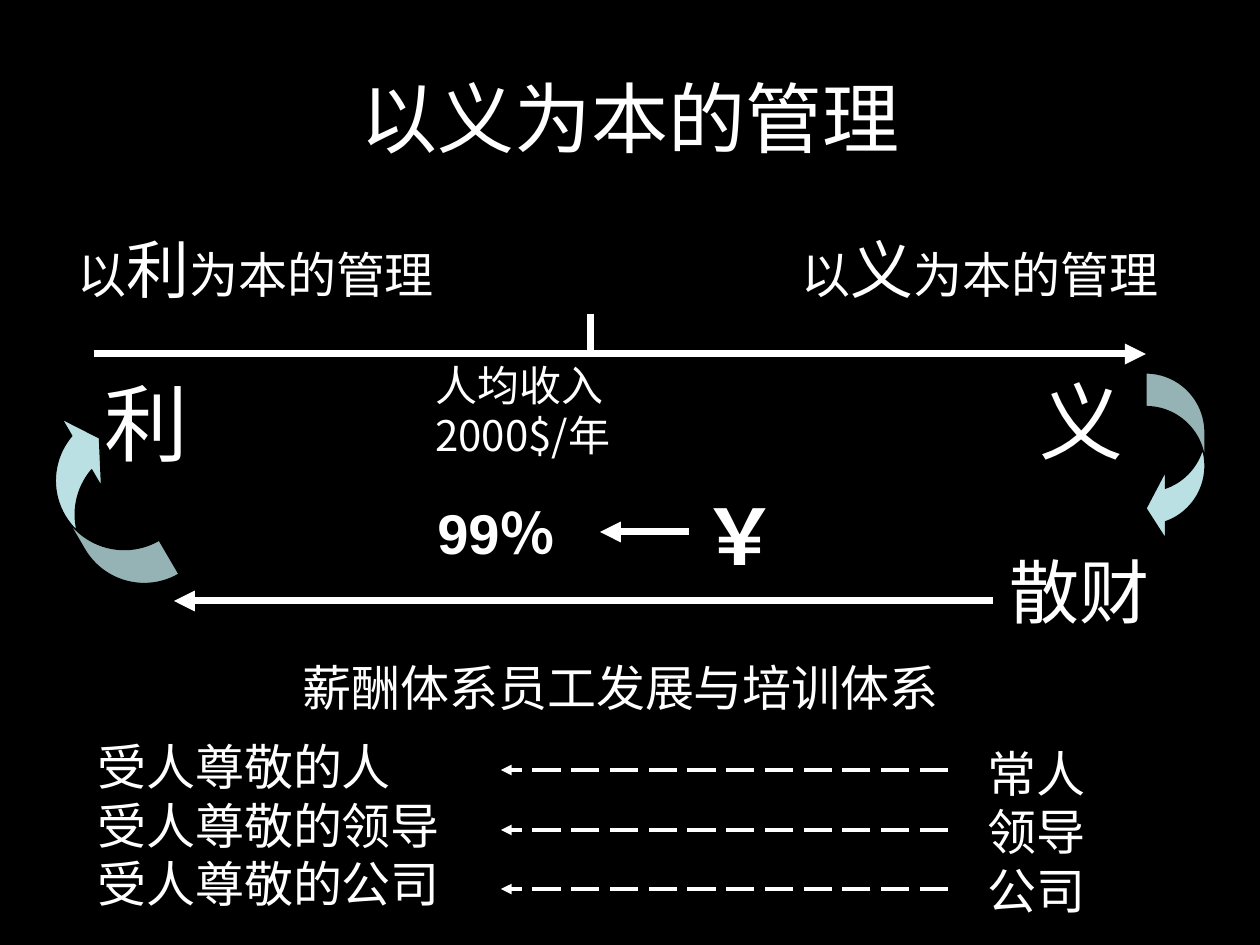
from dataclasses import dataclass

from lxml.etree import SubElement
from pptx import Presentation
from pptx.dml.color import RGBColor
from pptx.enum.dml import MSO_LINE as Dash
from pptx.enum.shapes import MSO_CONNECTOR as Connector, MSO_SHAPE as Preset
from pptx.enum.text import MSO_ANCHOR as Anchor, MSO_AUTO_SIZE as AutoSize, PP_ALIGN as Align
from pptx.oxml.ns import qn
from pptx.slide import Slide
from pptx.util import Emu, Pt

EMU_PER_PX = 914400 / 126
BLACK = RGBColor(0x00, 0x00, 0x00)
WHITE = RGBColor(0xFF, 0xFF, 0xFF)
PALE_TEAL = RGBColor(0xBB, 0xE0, 0xE3)
CURVE_ADJUSTMENTS = (0.57, 1.14, 0.33)


@dataclass(frozen=True)
class Box:
    left: int
    top: int
    width: int
    height: int


@dataclass(frozen=True)
class Label:
    box: Box
    lines: tuple[str, ...]
    size: int
    emphasis: str = ""
    font: str = "Arial"
    bold: bool = False
    wrap: bool = False
    indent: int = 0


@dataclass(frozen=True)
class Stroke:
    start: tuple[int, int]
    end: tuple[int, int]
    weight: int = 4
    arrow: bool = True
    dash: Dash | None = None


@dataclass(frozen=True)
class Curve:
    box: Box
    rotation: float = 0


LABELS = (
    Label(Box(92, 365, 108, 113), ("利",), 48),
    Label(Box(1027, 363, 108, 113), ("义",), 48),
    Label(Box(65, 224, 384, 88), ("以利为本的管理",), 28, emphasis="利"),
    Label(Box(789, 224, 384, 88), ("以义为本的管理",), 28, emphasis="义"),
    Label(Box(423, 353, 381, 63), ("人均收入", "2000$/年"), 24, font="Noto Sans CJK JP"),
    Label(Box(997, 542, 168, 97), ("散财",), 40),
    Label(Box(689, 482, 285, 106), ("￥",), 44, bold=True, wrap=True),
    Label(Box(425, 492, 166, 81), ("99％",), 32, bold=True),
    Label(Box(213, 651, 774, 72), ("薪酬体系员工发展与培训体系",), 28, wrap=True, indent=77),
    Label(Box(975, 737, 132, 189), ("常人", "领导", "公司"), 28),
    Label(Box(85, 730, 372, 189), ("受人尊敬的人", "受人尊敬的领导", "受人尊敬的公司"), 28),
)

STROKES = (
    Stroke((94, 354), (1146, 354)),
    Stroke((591, 354), (591, 314), arrow=False),
    Stroke((993, 601), (174, 601)),
    Stroke((689, 532), (600, 532)),
    *(
        Stroke((948, y), (501, y), weight=2, dash=Dash.LONG_DASH)
        for y in (770, 830, 889)
    ),
)

CURVES = (
    Curve(Box(1146, 373, 59, 169)),
    Curve(Box(65, 408, 69, 197), rotation=149.7),
)


def px(length: int) -> Emu:
    return Emu(round(length * EMU_PER_PX))


def place(box: Box) -> tuple[Emu, Emu, Emu, Emu]:
    return px(box.left), px(box.top), px(box.width), px(box.height)


def add_text(
    slide: Slide,
    box: Box,
    lines: tuple[str, ...],
    *,
    size: int,
    emphasis: str = "",
    emphasis_size: int = 36,
    font: str = "Arial",
    bold: bool = False,
    wrap: bool = False,
    indent: int = 0,
    align: Align = Align.LEFT,
    anchor: Anchor = Anchor.TOP,
    auto_size: AutoSize = AutoSize.SHAPE_TO_FIT_TEXT,
) -> None:
    frame = slide.shapes.add_textbox(*place(box)).text_frame
    frame.word_wrap = wrap
    frame.auto_size = auto_size
    frame.vertical_anchor = anchor
    frame.margin_left += px(indent)
    for index, line in enumerate(lines):
        paragraph = frame.add_paragraph() if index else frame.paragraphs[0]
        paragraph.alignment = align
        for piece in line.partition(emphasis) if emphasis else (line,):
            run = paragraph.add_run()
            run.text = piece
            run.font.name = font
            run.font.size = Pt(emphasis_size if piece == emphasis else size)
            run.font.bold = bold
            run.font.color.rgb = WHITE


def add_stroke(slide: Slide, stroke: Stroke) -> None:
    connector = slide.shapes.add_connector(
        Connector.STRAIGHT, *map(px, (*stroke.start, *stroke.end))
    )
    connector.line.color.rgb = WHITE
    connector.line.width = Pt(stroke.weight)
    if stroke.dash is not None:
        connector.line.dash_style = stroke.dash
    if stroke.arrow:
        SubElement(connector.line._get_or_add_ln(), qn("a:tailEnd"), type="triangle")
    SubElement(connector._element.spPr, qn("a:effectLst"))


def add_curve(slide: Slide, curve: Curve) -> None:
    arrow = slide.shapes.add_shape(Preset.CURVED_LEFT_ARROW, *place(curve.box))
    arrow.shadow.inherit = False
    arrow.rotation = curve.rotation
    for index, value in enumerate(CURVE_ADJUSTMENTS):
        arrow.adjustments[index] = value
    arrow.fill.solid()
    arrow.fill.fore_color.rgb = PALE_TEAL
    arrow.line.color.rgb = BLACK
    arrow.line.width = Pt(0.75)


def main() -> None:
    deck = Presentation()
    deck.slide_width, deck.slide_height = px(1260), px(945)
    slide = deck.slides.add_slide(deck.slide_layouts[6])
    slide.background.fill.solid()
    slide.background.fill.fore_color.rgb = BLACK

    add_text(
        slide,
        Box(63, 38, 1134, 158),
        ("以义为本的管理",),
        size=44,
        wrap=True,
        align=Align.CENTER,
        anchor=Anchor.MIDDLE,
        auto_size=AutoSize.NONE,
    )
    for stroke in STROKES:
        add_stroke(slide, stroke)
    for curve in CURVES:
        add_curve(slide, curve)
    for label in LABELS:
        add_text(
            slide,
            label.box,
            label.lines,
            size=label.size,
            emphasis=label.emphasis,
            font=label.font,
            bold=label.bold,
            wrap=label.wrap,
            indent=label.indent,
        )
    deck.save("out.pptx")


if __name__ == "__main__":
    main()
